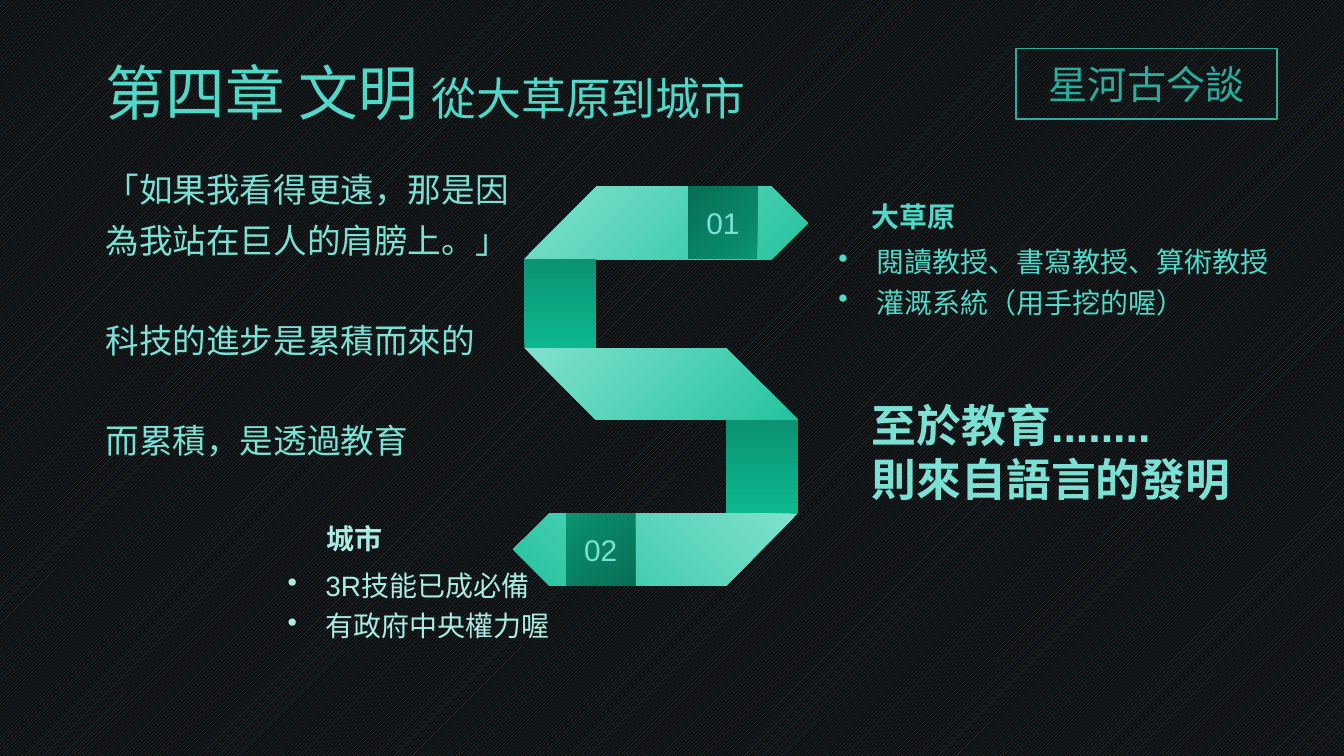
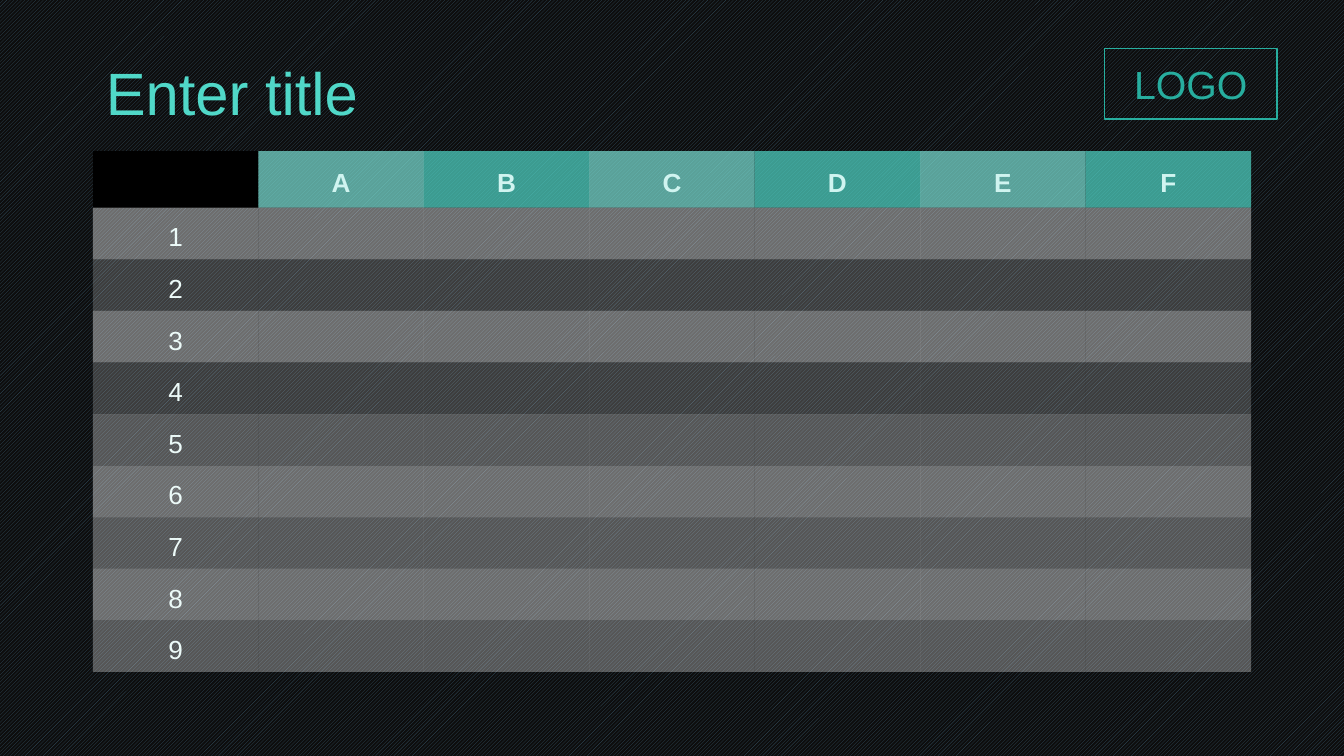
from lxml import etree
from pptx import Presentation
from pptx.dml.color import RGBColor
from pptx.enum.dml import MSO_PATTERN
from pptx.enum.shapes import MSO_SHAPE
from pptx.enum.text import MSO_ANCHOR, MSO_AUTO_SIZE, PP_ALIGN
from pptx.oxml.ns import qn
from pptx.util import Pt

RECTANGLE = MSO_SHAPE.RECTANGLE
MIDDLE = MSO_ANCHOR.MIDDLE
LEFT, CENTER = PP_ALIGN.LEFT, PP_ALIGN.CENTER
NO_AUTOFIT = MSO_AUTO_SIZE.NONE
UPWARD_STRIPES = MSO_PATTERN.DARK_UPWARD_DIAGONAL
TITLE_ONLY = 5
NO_STYLE_NO_GRID = "{2D5ABB26-0587-4C30-8999-92F81FD0307C}"

FONT, CJK_FONT = "Arial", "Noto Sans CJK SC"
COLORS = {
    "night": "0D0D0D", "stripe": "324C5C", "black": "000000", "white": "FFFFFF",
    "teal": "50D8C8", "soft": "7BE1D5", "pale": "AAECE4", "frame": "27AE9F",
    "header_text": "D0F4F0", "row_text": "ECFAF8",
    "ribbon_light": "81E1CE", "ribbon_dark": "24C39F",
    "fold_light": "0DB88E", "fold_dark": "0B9373",
    "tag_light": "0A9371", "tag_dark": "086E56",
}

# Slide 1
CHAPTER_TITLE = [("第四章 文明 ", 32), ("從大草原到城市", 24)]
CHAPTER_LABEL = "星河古今談"
QUOTE = [  # text, space before
    ("「如果我看得更遠，那是因", 7.5),
    ("為我站在巨人的肩膀上。」", 7.5),
    ("科技的進步是累積而來的", 34.3),
    ("而累積，是透過教育", 34.3),
]
BULLET_LISTS = [  # lines, color, box
    (["3R技能已成必備", "有政府中央權力喔"], "pale", (147, 297.5, 155, 51)),
    (["閱讀教授、書寫教授、算術教授", "灌溉系統（用手挖的喔）"], "teal",
     (442, 124, 245, 51)),
]
HEADINGS = [
    ("城市", "pale", (167.75, 272, 44.5, 29)),
    ("大草原", "teal", (460, 100, 60, 29)),
]
CONCLUSION = ["至於教育........", "則來自語言的發明"]

# Ribbon in the form of an S: column and row positions of its corners
X1, X2, X3, X4 = 281, 319.5, 389, 427.5
Y1, Y2, Y3, Y4, Y5, Y6 = 100, 138.75, 186.5, 225, 275, 313.75
TOP_TIP, BOTTOM_TIP, TIP_DEPTH = 432.75, 275, 19.5
RIBBON = ("ribbon_light", "ribbon_dark")
FOLD = ("fold_light", "fold_dark")
TAG = ("tag_light", "tag_dark")
RIBBON_PARTS = [  # corners, gradient, counter-clockwise angle
    ([(X2, Y1), (TOP_TIP - TIP_DEPTH, Y1), (TOP_TIP, (Y1 + Y2) / 2),
      (TOP_TIP - TIP_DEPTH, Y2), (X1, Y2)], RIBBON, 315),
    ([(X1, Y3), (X3, Y3), (X4, Y4), (X2, Y4)], RIBBON, 315),
    ([(X1, Y2), (X2, Y2), (X2, Y3), (X1, Y3)], FOLD, 90),
    ([(X3, Y4), (X4, Y4), (X4, Y5), (X3, Y5)], FOLD, 90),
    ([(BOTTOM_TIP + TIP_DEPTH, Y5), (X4, Y5), (X3, Y6),
      (BOTTOM_TIP + TIP_DEPTH, Y6), (BOTTOM_TIP, (Y5 + Y6) / 2)], RIBBON, 225),
]
TAGS = [("01", 368.75, Y1, 135), ("02", 303.25, Y5, 315)]  # text, left, top, angle

# Slide 2
HEADERS = ["", "A", "B", "C", "D", "E", "F"]
ROW_OPACITY = [40, 20, 40, 20, 30, 40, 30, 40, 30]
HEADER_OPACITY = 70
TABLE_LEFT, TABLE_TOP, COLUMN_WIDTH = 49.75, 81, 88.65
HEADER_HEIGHT, ROW_HEIGHT = 30.25, 27.65


def color(name):
    return RGBColor.from_string(COLORS[name])


def points(values):
    return [Pt(value) for value in values]


def set_font(font, size, color_name, bold=False, name=FONT):
    font.name, font.size, font.bold = name, Pt(size), bold
    font.color.rgb = color(color_name)


def write(text_frame, lines, size, color_name, bold=False, name=FONT,
          align=LEFT, spacing=None):
    """Put one paragraph per line into the frame and return the paragraphs."""
    for index, line in enumerate(lines):
        paragraph = text_frame.add_paragraph() if index else text_frame.paragraphs[0]
        paragraph.text = line
        paragraph.alignment = align
        paragraph.line_spacing = spacing
        set_font(paragraph.font, size, color_name, bold, name)
    return text_frame.paragraphs


def add_text(slide, box, lines, size, color_name, wrap=False, **style):
    text_frame = slide.shapes.add_textbox(*points(box)).text_frame
    text_frame.word_wrap = wrap
    return write(text_frame, lines, size, color_name, **style)


def add_bullet(paragraph):
    properties = paragraph._p.get_or_add_pPr()
    properties.set("marL", str(Pt(20.25)))
    properties.set("indent", str(-Pt(20.25)))
    bullet = etree.Element(qn("a:buChar"), char="•")
    properties.insert_element_before(bullet, "a:tabLst", "a:defRPr", "a:extLst")


def fill_gradient(shape, color_names, angle):
    shape.shadow.inherit = False
    shape.line.fill.background()
    shape.fill.gradient()
    shape.fill.gradient_angle = angle
    for stop, name in zip(shape.fill.gradient_stops, color_names):
        stop.color.rgb = color(name)


def add_ribbon_part(slide, corners, color_names, angle):
    start, *others = [tuple(points(corner)) for corner in corners]
    builder = slide.shapes.build_freeform(*start, scale=1.0)
    builder.add_line_segments(others, close=True)
    fill_gradient(builder.convert_to_shape(), color_names, angle)


def add_framed_label(slide, text, left, width, name=FONT):
    frame = slide.shapes.add_shape(RECTANGLE, *points((left, 26, width, 37.75)))
    frame.shadow.inherit = False
    frame.fill.background()
    frame.line.color.rgb = color("frame")
    frame.line.width = Pt(1)
    frame.text_frame.vertical_anchor = MIDDLE
    write(frame.text_frame, [text], 21, "frame", name=name, align=CENTER)


def add_titled_slide(presentation, title_runs):
    slide = presentation.slides.add_slide(presentation.slide_layouts[TITLE_ONLY])
    title = slide.shapes.title
    title.left, title.top, title.width, title.height = points((49.5, 21.5, 621, 60))
    title.text_frame.auto_size = NO_AUTOFIT
    title.text_frame.vertical_anchor = MIDDLE
    paragraph = title.text_frame.paragraphs[0]
    paragraph.alignment = LEFT
    paragraph.line_spacing = 0.9
    for text, size in title_runs:
        run = paragraph.add_run()
        run.text = text
        set_font(run.font, size, "teal")
    return slide


def build_chapter_slide(presentation):
    slide = add_titled_slide(presentation, CHAPTER_TITLE)
    quote = add_text(slide, (49.5, 89.5, 621, 276), [text for text, _ in QUOTE],
                     18, "soft", wrap=True, spacing=0.9)
    for paragraph, (_, space_before) in zip(quote, QUOTE):
        paragraph.space_before = Pt(space_before)

    for lines, color_name, box in BULLET_LISTS:
        for paragraph in add_text(slide, box, lines, 15, color_name, spacing=1.2):
            add_bullet(paragraph)

    for corners, color_names, angle in RIBBON_PARTS:
        add_ribbon_part(slide, corners, color_names, angle)
    for text, left, top, angle in TAGS:
        tag = slide.shapes.add_shape(RECTANGLE, *points((left, top, 37, Y2 - Y1)))
        fill_gradient(tag, TAG, angle)
        tag.text_frame.vertical_anchor = MIDDLE
        write(tag.text_frame, [text], 16, "soft", align=CENTER)

    for text, color_name, box in HEADINGS:
        add_text(slide, box, [text], 15, color_name, bold=True, spacing=1.2)
    add_framed_label(slide, CHAPTER_LABEL, 544.5, 139.5, CJK_FONT)
    add_text(slide, (460, 209.5, 219.5, 65.5), CONCLUSION, 24, "soft",
             wrap=True, bold=True)


def fill_cell(cell, color_name, opacity):
    cell.fill.solid()
    cell.fill.fore_color.rgb = color(color_name)
    if opacity < 100:
        for color_element in cell._tc.iter(qn("a:srgbClr")):
            if color_element.getparent().getparent().tag == qn("a:tcPr"):
                etree.SubElement(color_element, qn("a:alpha"), val=str(opacity * 1000))


def write_cell(cell, text, color_name, bold):
    cell.margin_left = cell.margin_right = Pt(4.5)
    cell.margin_top = cell.margin_bottom = Pt(2.75)
    cell.vertical_anchor = MIDDLE
    write(cell.text_frame, [text], 14, color_name, bold, align=CENTER, spacing=1.3)


def build_table_slide(presentation):
    slide = add_titled_slide(presentation, [("Enter title", 32)])
    row_count, column_count = len(ROW_OPACITY) + 1, len(HEADERS)
    frame = slide.shapes.add_table(
        row_count, column_count,
        *points((TABLE_LEFT, TABLE_TOP, COLUMN_WIDTH * column_count,
                 HEADER_HEIGHT + ROW_HEIGHT * len(ROW_OPACITY))))
    for style in frame._element.iter(qn("a:tableStyleId")):
        style.text = NO_STYLE_NO_GRID
    table = frame.table
    table.horz_banding = False
    for column in table.columns:
        column.width = Pt(COLUMN_WIDTH)
    for index, row in enumerate(table.rows):
        row.height = Pt(ROW_HEIGHT if index else HEADER_HEIGHT)

    for index, header in enumerate(HEADERS):
        cell = table.cell(0, index)
        write_cell(cell, header, "header_text", True)
        if header:
            fill_cell(cell, "soft" if index % 2 else "teal", HEADER_OPACITY)
        else:
            fill_cell(cell, "black", 100)
    for row_number, opacity in enumerate(ROW_OPACITY, start=1):
        for index in range(column_count):
            cell = table.cell(row_number, index)
            write_cell(cell, "" if index else str(row_number), "row_text", False)
            fill_cell(cell, "white", opacity)
    add_framed_label(slide, "LOGO", 591.75, 92.25)


def main():
    presentation = Presentation()
    presentation.slide_width, presentation.slide_height = Pt(720), Pt(405)
    background = presentation.slide_master.background.fill
    background.patterned()
    background.pattern = UPWARD_STRIPES
    background.fore_color.rgb = color("stripe")
    background.back_color.rgb = color("night")
    build_chapter_slide(presentation)
    build_table_slide(presentation)
    presentation.save("out.pptx")


if __name__ == "__main__":
    main()
